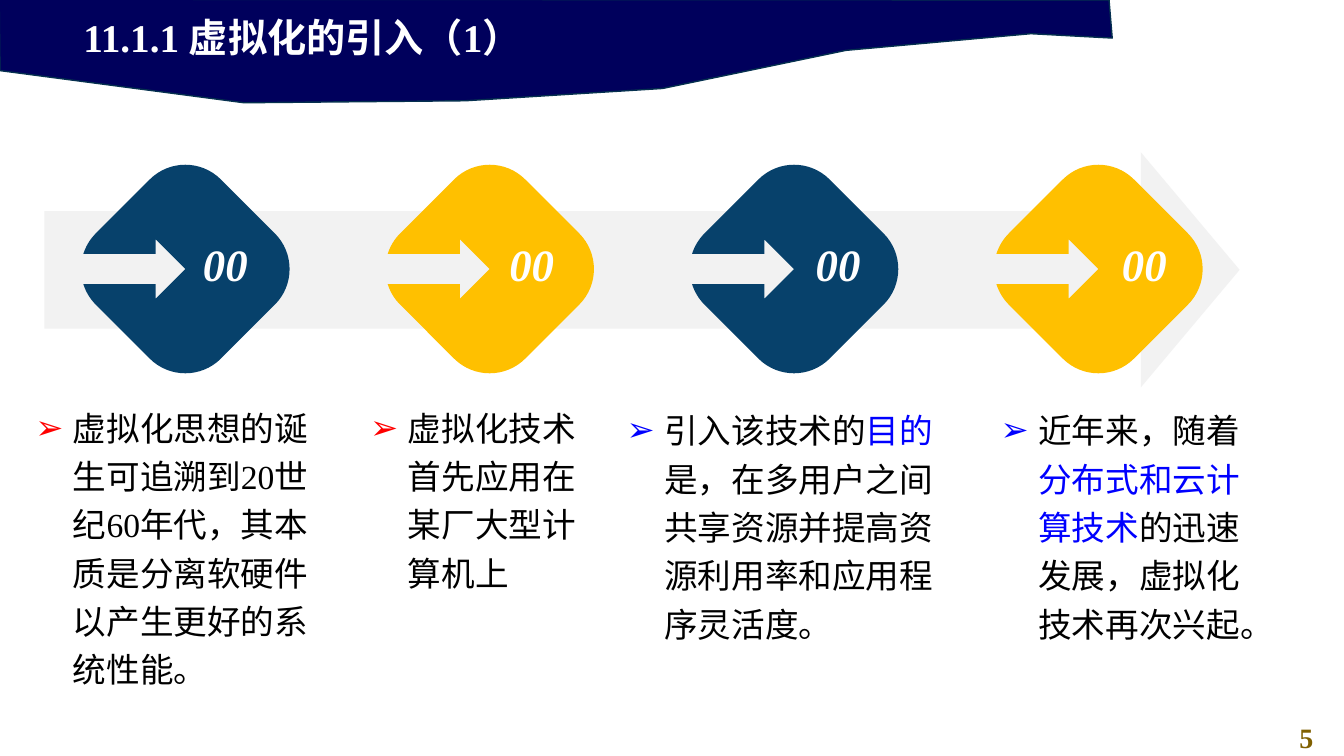
from dataclasses import dataclass
from math import asin, cos, degrees, radians, sin, sqrt, tan

from lxml.etree import SubElement
from pptx import Presentation
from pptx.dml.color import RGBColor
from pptx.enum.shapes import MSO_SHAPE
from pptx.enum.text import MSO_ANCHOR, MSO_AUTO_SIZE, PP_ALIGN
from pptx.oxml.ns import qn
from pptx.util import Cm, Pt


@dataclass(frozen=True)
class Theme:
    font: str = "Times New Roman"
    bullet_font: str = "Arial"
    banner: str = "00005C"
    banner_edge: str = "05304F"
    track: str = "F2F2F2"
    blue: str = "07416B"
    gold: str = "FFC000"
    white: str = "FFFFFF"
    black: str = "000000"
    highlight: str = "0000FF"
    red: str = "FF0000"
    page: str = "806000"
    title_size: int = 28
    number_size: int = 32
    body_size: int = 24
    page_size: int = 20


THEME = Theme()
BANNER_OUTLINE = [(-0.02, -0.02), (0, 1.78), (6.15, 2.59), (11.73, 2.54),
                  (16.7, 2.23), (21.32, 1.27), (25.98, 0.85), (28.03, 0.96),
                  (27.95, 0)]
MILESTONES = [
    (THEME.blue, (0.64, 9.94, 7.39, 6.9), THEME.red,
     [("虚拟化思想的诞生可追溯到20世纪60年代，其本质是分离软硬件以产生更好的系统性能。", THEME.black)]),
    (THEME.gold, (9.08, 9.94, 6.32, 4.5), THEME.red,
     [("虚拟化技术首先应用在某厂大型计算机上", THEME.black)]),
    (THEME.blue, (15.54, 10.01, 8.41, 5.84), THEME.highlight,
     [("引入该技术的", THEME.black), ("目的", THEME.highlight),
      ("是，在多用户之间共享资源并提高资源利用率和应用程序灵活度。", THEME.black)]),
    (THEME.gold, (24.97, 10.01, 6.71, 5.84), THEME.highlight,
     [("近年来，随着", THEME.black), ("分布式和云计算技术", THEME.highlight),
      ("的迅速发展，虚拟化技术再次兴起。", THEME.black)]),
]


def paint(shape, fill, edge=None):
    shape.shadow.inherit = False
    shape.fill.solid()
    shape.fill.fore_color.rgb = RGBColor.from_string(fill)
    if edge:
        shape.line.color.rgb = RGBColor.from_string(edge)
        shape.line.width = Pt(1)
    else:
        shape.line.fill.background()
    return shape


def style(font, size, color, bold=False, italic=False):
    font.name = THEME.font
    font.size = Pt(size)
    font.color.rgb = RGBColor.from_string(color)
    font.bold = bold
    font.italic = italic


def add_outline(slide, points, fill, edge=None):
    corners = [(Cm(x), Cm(y)) for x, y in points]
    builder = slide.shapes.build_freeform(*corners[0])
    builder.add_line_segments(corners[1:], close=True)
    return paint(builder.convert_to_shape(), fill, edge)


def add_label(slide, text, box, size, color, italic=False):
    label = slide.shapes.add_textbox(*map(Cm, box))
    frame = label.text_frame
    frame.word_wrap = True
    frame.vertical_anchor = MSO_ANCHOR.MIDDLE
    frame.text = text
    paragraph = frame.paragraphs[0]
    paragraph.alignment = PP_ALIGN.CENTER
    style(paragraph.runs[0].font, size, color, True, italic)


def add_bullet(paragraph, color):
    properties = paragraph._p.get_or_add_pPr()
    properties.set("marL", str(Cm(0.95)))
    properties.set("indent", str(Cm(-0.95)))
    bullet_color = SubElement(properties, qn("a:buClr"))
    SubElement(bullet_color, qn("a:srgbClr"), val=color)
    SubElement(properties, qn("a:buFont"), typeface=THEME.bullet_font)
    SubElement(properties, qn("a:buChar"), char="➢")


def add_description(slide, box, bullet_color, phrases):
    description = slide.shapes.add_textbox(*map(Cm, box))
    frame = description.text_frame
    frame.word_wrap = True
    paragraph = frame.paragraphs[0]
    add_bullet(paragraph, bullet_color)
    paragraph.line_spacing = 1.2
    for words, color in phrases:
        run = paragraph.add_run()
        run.text = words
        style(run.font, THEME.body_size, color)


def arc(x, y, radius, start, end):
    a, b = radians(start), radians(end)
    handle = 4 / 3 * tan((b - a) / 4)
    return [(x + radius * u, y + radius * v) for u, v in (
        (cos(a), sin(a)),
        (cos(a) - handle * sin(a), sin(a) + handle * cos(a)),
        (cos(b) + handle * sin(b), sin(b) - handle * cos(b)),
        (cos(b), sin(b)))]


def bend(shape, curve_starts):
    lines = list(shape.element.iter(qn("a:lnTo")))
    for start in curve_starts:
        first, *others = lines[start:start + 3]
        first.tag = qn("a:cubicBezTo")
        for line in others:
            first.append(line[0])
            line.getparent().remove(line)


def add_diamond(slide, x, y, fill):
    reach, radius, shaft, head = 0.96, 1.27, 0.38, 0.75
    notch = degrees(asin(shaft / radius))
    arrow = [(-head, shaft), (-head, head), (0, 0), (-head, -head), (-head, -shaft)]
    turned = [(x + (u + v) / sqrt(2), y + (v - u) / sqrt(2)) for u, v in arrow]
    points = (arc(x - reach, y - reach, radius, 180, 270)
              + arc(x + reach, y - reach, radius, 270, 360)
              + arc(x + reach, y + reach, radius, 0, 90)
              + arc(x - reach, y + reach, radius, 90, 135 - notch)
              + turned
              + arc(x - reach, y + reach, radius, 135 + notch, 180))
    diamond = add_outline(slide, points, fill)
    bend(diamond, (0, 4, 8, 12, 16 + len(arrow)))
    diamond.rotation = 45


def add_title(slide, text):
    title = slide.shapes.title
    title.left, title.top, title.width, title.height = map(Cm, (1.85, 0.21, 19.51, 1.45))
    frame = title.text_frame
    frame.text = text
    frame.auto_size = MSO_AUTO_SIZE.NONE
    frame.vertical_anchor = MSO_ANCHOR.TOP
    frame.paragraphs[0].alignment = PP_ALIGN.LEFT
    style(frame.paragraphs[0].runs[0].font, THEME.title_size, THEME.white, True)
    banner = add_outline(slide, BANNER_OUTLINE, THEME.banner, THEME.banner_edge)
    title.element.addprevious(banner.element)


def add_track(slide):
    track = slide.shapes.add_shape(MSO_SHAPE.RIGHT_ARROW, *map(Cm, (1.12, 3.84, 30.12, 5.92)))
    track.adjustments[0] = 0.5
    track.adjustments[1] = 0.42
    paint(track, THEME.track)


def main():
    deck = Presentation()
    deck.slide_width, deck.slide_height = Cm(33.87), Cm(19.05)
    slide = deck.slides.add_slide(deck.slide_layouts[5])
    add_title(slide, "11.1.1 虚拟化的引入（1）")
    add_track(slide)
    for i, (fill, box, bullet_color, phrases) in enumerate(MILESTONES):
        add_diamond(slide, 4.67 + 7.67 * i, 6.78, fill)
        add_label(slide, "00", (4.7 + 7.72 * i, 5.7, 1.96, 1.88),
                  THEME.number_size, THEME.white, True)
        add_description(slide, box, bullet_color, phrases)
    add_label(slide, "5", (32, 18.01, 1.85, 1.12), THEME.page_size, THEME.page)
    deck.save("out.pptx")


if __name__ == "__main__":
    main()
